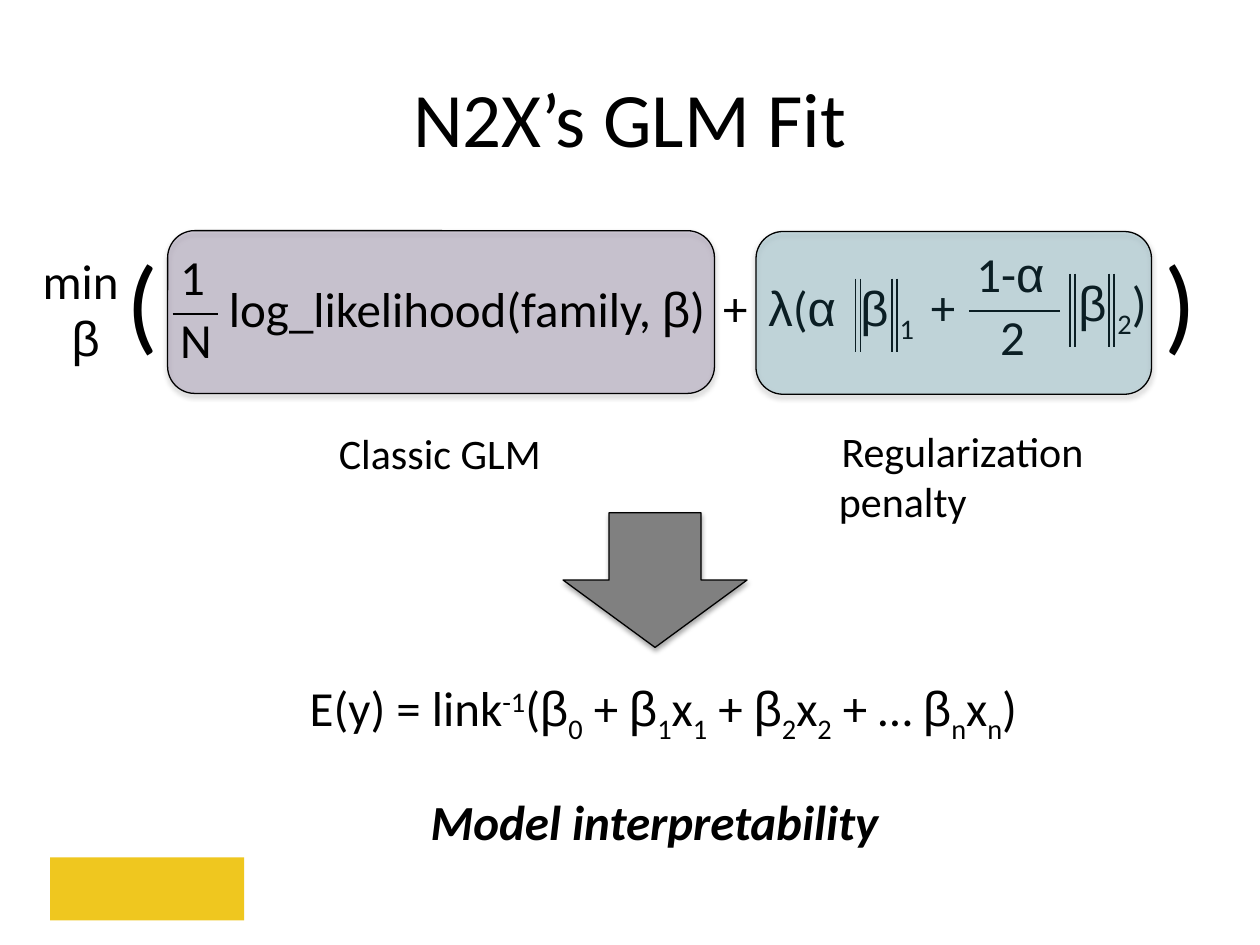
from dataclasses import dataclass
from itertools import groupby

from lxml.etree import SubElement
from pptx import Presentation
from pptx.dml.color import RGBColor
from pptx.enum.shapes import MSO_CONNECTOR as Connector, MSO_SHAPE as Shape
from pptx.enum.text import MSO_ANCHOR as Anchor, MSO_AUTO_SIZE as AutoSize, PP_ALIGN as Align
from pptx.oxml.ns import qn
from pptx.util import Pt


@dataclass(frozen=True)
class Theme:
    ink: str = "000000"
    violet: str = "604A7B"
    teal: str = "31859C"
    grey: str = "808080"
    gold: str = "EFC71F"
    body_font: str = "Calibri"
    greek_font: str = "Arial"
    title: int = 44
    bracket: int = 60
    formula: int = 28
    label: int = 24


@dataclass(frozen=True)
class Box:
    left: float
    top: float
    width: float
    height: float = 41

    def inner(self, left, top, width, height=41):
        return Box(self.left + left, self.top + top, width, height)

    def lengths(self):
        return Pt(self.left), Pt(self.top), Pt(self.width), Pt(self.height)


THEME = Theme()


def add_span(para, text, size=THEME.formula, font=THEME.body_font,
             bold=None, italic=None, baseline=0):
    span = para.add_run()
    span.text = text
    span.font.size = Pt(size)
    span.font.name = font
    span.font.color.rgb = RGBColor.from_string(THEME.ink)
    span.font.bold = bold
    span.font.italic = italic
    if baseline:
        span.font._element.set("baseline", str(baseline * 1000))


def add_text_box(page, box, wrap=False, anchor=Anchor.TOP):
    frame = page.shapes.add_textbox(*box.lengths()).text_frame
    frame.word_wrap = wrap
    frame.auto_size = AutoSize.NONE if wrap else AutoSize.SHAPE_TO_FIT_TEXT
    frame.vertical_anchor = anchor
    return frame


def write(page, box, text, align=Align.LEFT, wrap=False, anchor=Anchor.TOP, **style):
    para = add_text_box(page, box, wrap, anchor).paragraphs[0]
    para.alignment = align
    add_span(para, text, **style)


def write_math(page, box, text):
    para = add_text_box(page, box).paragraphs[0]
    shifts = {"_": -25, "^": 30}
    for part in text.split("|"):
        baseline = shifts.get(part[0], 0)
        symbols = part[1:] if baseline else part
        for greek, letters in groupby(symbols, lambda letter: letter in "αβλ"):
            font = THEME.greek_font if greek else THEME.body_font
            add_span(para, "".join(letters), font=font, baseline=baseline)


def add_rule(page, box, left, top, width=0, height=0):
    x, y = box.left + left, box.top + top
    rule = page.shapes.add_connector(
        Connector.STRAIGHT, Pt(x), Pt(y), Pt(x + width), Pt(y + height))
    rule.line.width = Pt(1)
    rule.line.color.rgb = RGBColor.from_string(THEME.ink)
    SubElement(rule._element.spPr, qn("a:effectLst"))


def add_plain_shape(page, box, kind, color):
    shape = page.shapes.add_shape(kind, *box.lengths())
    shape.fill.solid()
    shape.fill.fore_color.rgb = RGBColor.from_string(color)
    shape.line.fill.background()
    shape.shadow.inherit = False
    return shape


def add_panel(page, box, kind, color, opacity=100):
    panel = add_plain_shape(page, box, kind, color)
    panel.line.color.rgb = RGBColor.from_string(THEME.ink)
    panel.line.width = Pt(0.75)
    properties = panel._element.spPr
    if opacity < 100:
        fill = properties.find(qn("a:solidFill"))
        SubElement(fill[0], qn("a:alpha"), val=str(opacity * 1000))
    shadow = SubElement(properties.find(qn("a:effectLst")), qn("a:outerShdw"),
                        blurRad=str(Pt(3.1)), dist=str(Pt(1.8)),
                        dir="5400000", rotWithShape="0")
    tint = SubElement(shadow, qn("a:srgbClr"), val=THEME.ink)
    SubElement(tint, qn("a:alpha"), val="35000")


def add_norm(page, box, text, bars):
    write_math(page, box, text)
    for left in bars:
        for offset in (0, 2.9):
            add_rule(page, box, left + offset, 4, height=41.6)


def add_minimum(page, box):
    write_math(page, box.inner(0, 0, 58.3), "min")
    write_math(page, box.inner(16.5, 32.3, 30.2), "β")


def add_likelihood(page, box):
    add_panel(page, box, Shape.ROUNDED_RECTANGLE, THEME.violet, 25)
    write_math(page, box.inner(0, 5.7, 28.8), "1")
    write_math(page, box.inner(0, 41.7, 33.1), "N")
    add_rule(page, box, 2.8, 47.5, width=26)
    write_math(page, box.inner(28, 23.7, 292.3), "log_likelihood(family, β)")
    write(page, box.inner(90, 108.7, 131, 36), "Classic GLM",
          align=Align.CENTER, size=THEME.label)


def add_penalty(page, box):
    write_math(page, box.inner(0, 23, 58), "λ(α")
    add_norm(page, box.inner(52.6, 23, 48), "β |_1", (4.3, 25.2))
    write_math(page, box.inner(92.9, 22.3, 28.8), "+")
    write_math(page, box.inner(118.8, 3.6, 55.4), "1-α")
    write_math(page, box.inner(132.5, 39.6, 28.8), "2")
    add_rule(page, box, 121.7, 45.3, width=51.8)
    add_norm(page, box.inner(177.1, 20.1, 54.7), "β |_2|)", (2.2, 24.5))
    add_panel(page, box, Shape.ROUNDED_RECTANGLE, THEME.teal, 23)
    frame = add_text_box(page, box.inner(40.3, 107.3, 155.5, 65.5))
    first = frame.paragraphs[0]
    first.alignment = Align.CENTER
    add_span(first, "Regularization", size=THEME.label)
    add_span(frame.add_paragraph(), "penalty", size=THEME.label)


def add_objective(page, box):
    add_minimum(page, box.inner(0, 8, 75, 75))
    add_likelihood(page, box.inner(78.5, 0, 312.5, 93))
    for left, bracket in ((48.2, "("), (640.8, ")")):
        write(page, box.inner(left, 0, 33.1, 79.9), bracket, size=THEME.bracket)
    write_math(page, box.inner(388.8, 23, 28.8), "+")
    add_penalty(page, box.inner(414.7, 0.5, 226, 93))


def add_result(page, box):
    add_panel(page, box.inner(151.9, 0, 105.1, 77), Shape.DOWN_ARROW, THEME.grey)
    write_math(page, box.inner(0, 90.8, 436.3),
               "E(y) = link|^-1|(β|_0| + β|_1|x|_1| + β|_2|x|_2| + … β|_n|x|_n|)")
    write(page, box.inner(69.1, 155.6, 279.4), "Model interpretability",
          bold=True, italic=True)


def main():
    deck = Presentation()
    deck.slide_width, deck.slide_height = Pt(720), Pt(540)
    page = deck.slides.add_slide(deck.slide_layouts[6])
    write(page, Box(36, 21.6, 648, 90), "N2X’s GLM Fit", align=Align.CENTER,
          wrap=True, anchor=Anchor.MIDDLE, size=THEME.title)
    add_objective(page, Box(17.3, 131.8, 674, 93))
    add_result(page, Box(169.9, 293, 436.3, 197))
    add_plain_shape(page, Box(28.6, 490, 111, 36), Shape.RECTANGLE, THEME.gold)
    deck.save("out.pptx")


if __name__ == "__main__":
    main()
